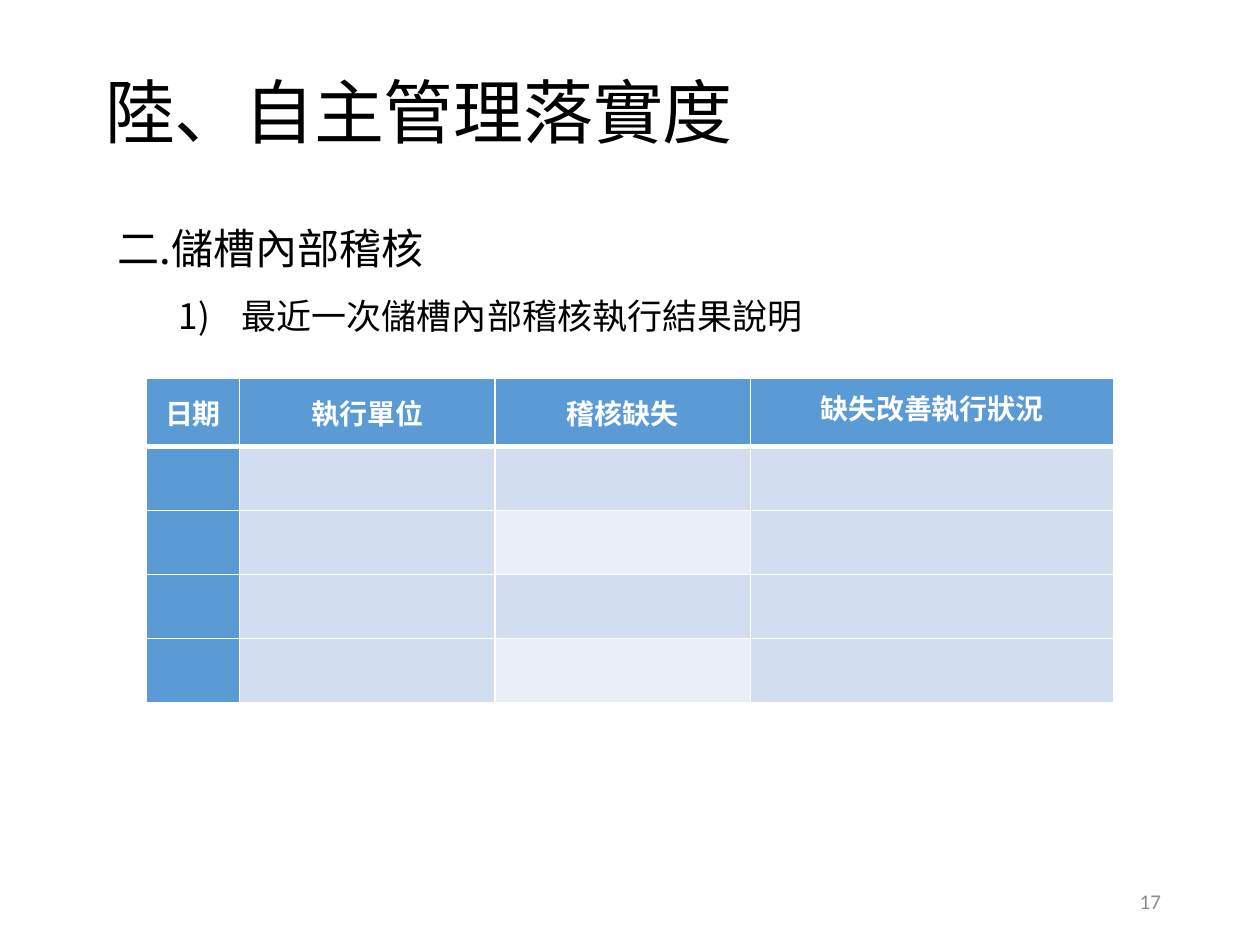
from lxml.etree import SubElement
from pptx import Presentation
from pptx.dml.color import RGBColor
from pptx.enum.text import MSO_ANCHOR as Anchor, MSO_AUTO_SIZE as AutoSize, PP_ALIGN as Align
from pptx.oxml import parse_xml
from pptx.oxml.ns import nsdecls, qn
from pptx.util import Pt

THEME = {
    "black": "000000", "white": "FFFFFF", "gray": "8C8C8C",
    "header": "5B9BD5", "band": "D2DEEF", "light": "EAEFF7",
    "cjk": "Noto Sans CJK SC", "latin": "Calibri",
    "title": 40, "heading": 24, "item": 20, "table": 16, "number": 12,
}


def write(paragraph, text, size, color="black", font="cjk", align=Align.LEFT, bold=False):
    """Fill a paragraph with text in one theme style and return its font element."""
    paragraph.text = text
    paragraph.alignment = align
    paragraph.font.size = Pt(THEME[size])
    paragraph.font.name = THEME[font]
    paragraph.font.bold = bold
    paragraph.font.color.rgb = RGBColor.from_string(THEME[color])
    style = paragraph._p.pPr.find(qn("a:defRPr"))
    SubElement(style, qn("a:ea")).set("typeface", THEME[font])
    return style


def add_text_frame(slide, left, top, width, height, auto_size=AutoSize.NONE):
    """Add a wrapping, vertically centred text box and return its text frame."""
    frame = slide.shapes.add_textbox(Pt(left), Pt(top), Pt(width), Pt(height)).text_frame
    frame.word_wrap = True
    frame.auto_size = auto_size
    frame.vertical_anchor = Anchor.MIDDLE
    return frame


presentation = Presentation()
presentation.slide_width, presentation.slide_height = Pt(720), Pt(540)
slide = presentation.slides.add_slide(presentation.slide_layouts[6])

# Title
title = add_text_frame(slide, 60, 44, 549.5, 44, AutoSize.SHAPE_TO_FIT_TEXT)
title.margin_left = title.margin_top = title.margin_right = title.margin_bottom = 0
write(title.paragraphs[0], "陸、自主管理落實度", "title").set("spc", "-10")
title.paragraphs[0].line_spacing = 0.9

# Heading and numbered item
body = add_text_frame(slide, 60, 111, 564, 83, AutoSize.SHAPE_TO_FIT_TEXT)
heading, item = body.paragraphs[0], body.add_paragraph()
write(heading, "二.儲槽內部稽核", "heading")
item_style = write(item, "最近一次儲槽內部稽核執行結果說明", "item")
item_style.addprevious(parse_xml(f'<a:buAutoNum {nsdecls("a")} type="arabicParenR"/>'))
item._p.pPr.set("marL", str(Pt(71)))
item._p.pPr.set("indent", str(Pt(-36)))
for paragraph in body.paragraphs:
    paragraph.line_spacing = 1.5

# Audit table
headers = ["日期", "執行單位", "稽核缺失", "缺失改善執行狀況"]
column_widths = [53.2, 146, 146, 207.5]
row_heights = [39] + [36.6] * 4
table = slide.shapes.add_table(
    len(row_heights), len(headers), Pt(83.7), Pt(216),
    Pt(sum(column_widths)), Pt(sum(row_heights))).table
for column, width in zip(table.columns, column_widths):
    column.width = Pt(width)
for row, height in zip(table.rows, row_heights):
    row.height = Pt(height)

for row_index in range(len(row_heights)):
    for column_index, header in enumerate(headers):
        cell = table.cell(row_index, column_index)
        if row_index == 0 or column_index == 0:
            color = "header"
        elif column_index == 2 and row_index % 2 == 0:
            color = "light"
        else:
            color = "band"
        cell.fill.solid()
        cell.fill.fore_color.rgb = RGBColor.from_string(THEME[color])
        if row_index == 0:
            cell.vertical_anchor = Anchor.MIDDLE
            cell.margin_left = cell.margin_right = Pt(5)
            cell.margin_top = cell.margin_bottom = 0
            write(cell.text_frame.paragraphs[0], header, "table", "white",
                  align=Align.CENTER, bold=True)
        for position, side in enumerate("LRTB"):
            thick = (row_index, side) in [(0, "B"), (1, "T")]
            cell._tc.get_or_add_tcPr().insert(position, parse_xml(
                f'<a:ln{side} {nsdecls("a")} w="{Pt(3 if thick else 1)}"><a:solidFill>'
                f'<a:srgbClr val="{THEME["white"]}"/></a:solidFill></a:ln{side}>'))
table.cell(0, 3).text_frame.paragraphs[0].line_spacing = Pt(18)

# Slide number
number = add_text_frame(slide, 508.5, 500.5, 162, 28.8)
write(number.paragraphs[0], "17", "number", "gray", "latin", Align.RIGHT)

presentation.save("out.pptx")
